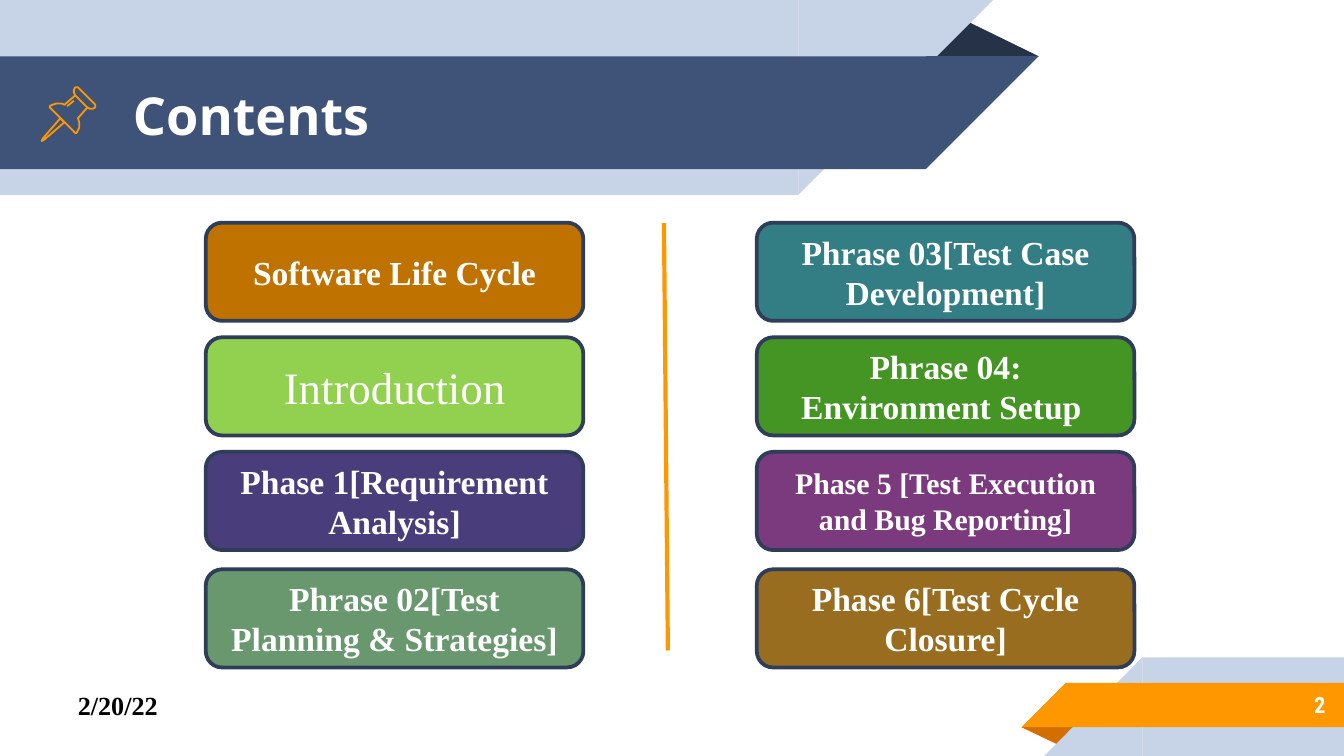
from dataclasses import dataclass

from lxml import etree
from pptx import Presentation
from pptx.dml.color import RGBColor
from pptx.enum import shapes, text
from pptx.oxml import ns
from pptx.util import Pt

WHITE = RGBColor(0xFF, 0xFF, 0xFF)
BLACK = RGBColor(0x00, 0x00, 0x00)
PALE = RGBColor(0xC7, 0xD3, 0xE6)
NAVY = RGBColor(0x3F, 0x53, 0x78)
DARK = RGBColor(0x26, 0x32, 0x48)
OUTLINE = RGBColor(0x2F, 0x3D, 0x59)
ORANGE = RGBColor(0xFF, 0x98, 0x00)
BURNT = RGBColor(0xD2, 0x6F, 0x00)

RECT = shapes.MSO_SHAPE.RECTANGLE
SLOPE = shapes.MSO_SHAPE.RIGHT_TRIANGLE
FOLD = shapes.MSO_SHAPE.ISOSCELES_TRIANGLE
FOLD_APEX = 0.324
SERIF = "Times New Roman"


@dataclass(frozen=True)
class Piece:
    kind: shapes.MSO_SHAPE
    left: float
    top: float
    width: float
    height: float
    color: RGBColor
    flip: str = ""
    rotation: float = 0


@dataclass(frozen=True)
class Topic:
    label: str
    color: RGBColor
    size: float = 18
    bold: bool = True


@dataclass(frozen=True)
class Stroke:
    """Pin outline, its points in hundredths of an inch."""
    points: tuple[tuple[int, int], ...]
    closed: bool


RIBBONS = (
    Piece(FOLD, 547.2, 389.6, 31, 10, BURNT, rotation=180),
    Piece(RECT, 612, 352.2, 108, 52.8, PALE),
    Piece(SLOPE, 559.4, 352.2, 52.6, 52.8, PALE, "flipH"),
    Piece(RECT, 571, 365.8, 149, 23.8, ORANGE),
    Piece(SLOPE, 547.2, 365.8, 23.8, 23.8, ORANGE, "flipH"),
    Piece(FOLD, 495.4, 10, 61.2, 20.2, DARK),
    Piece(RECT, 0, 0, 427.7, 104.4, PALE),
    Piece(SLOPE, 427.7, 0, 104.4, 104.4, PALE, "flipV"),
    Piece(RECT, 0, 30.2, 496, 60.5, NAVY),
    Piece(SLOPE, 496, 30.2, 60.5, 60.5, NAVY, "flipV"),
)

PIN = (
    Stroke(((45, 88), (32, 103), (31, 105), (33, 104), (48, 91)), True),
    Stroke(((56, 71), (65, 80), (67, 81), (69, 81), (71, 80), (71, 78),
            (58, 65), (56, 65), (55, 67), (55, 69)), True),
    Stroke(((56, 71), (48, 78), (46, 77), (42, 77), (39, 78), (37, 79),
            (37, 80), (38, 81), (55, 98), (56, 99), (57, 99), (58, 97),
            (59, 95), (59, 91), (58, 88), (65, 80)), False),
    Stroke(((50, 79), (55, 75)), False),
)

COLUMNS = {
    110.2: (
        Topic("Software Life Cycle", RGBColor(0xBF, 0x72, 0x00)),
        Topic("Introduction", RGBColor(0x92, 0xD0, 0x50), 24, False),
        Topic("Phase 1[Requirement Analysis]", RGBColor(0x49, 0x3D, 0x7B)),
        Topic("Phrase 02[Test Planning & Strategies]", RGBColor(0x69, 0x97, 0x6E)),
    ),
    405.4: (
        Topic("Phrase 03[Test Case Development]", RGBColor(0x33, 0x7D, 0x85)),
        Topic("Phrase 04: Environment Setup ", RGBColor(0x44, 0x95, 0x23)),
        Topic("Phase 5 [Test Execution and Bug Reporting]",
              RGBColor(0x7C, 0x3A, 0x7E), 16),
        Topic("Phase 6[Test Cycle Closure]", RGBColor(0x99, 0x6D, 0x1F)),
    ),
}
ROW_TOPS = (119.3, 180.7, 242.1, 305)


def write(box, words: str, align: text.PP_ALIGN, color: RGBColor,
          inset: float = 3.6, anchor=text.MSO_ANCHOR.MIDDLE, **font) -> None:
    """Fill a box with one formatted line of words."""
    frame = box.text_frame
    layout = {"word_wrap": True, "auto_size": text.MSO_AUTO_SIZE.NONE,
              "vertical_anchor": anchor,
              "margin_left": Pt(7.2), "margin_right": Pt(7.2),
              "margin_top": Pt(inset), "margin_bottom": Pt(inset)}
    for name, value in layout.items():
        setattr(frame, name, value)
    para = frame.paragraphs[0]
    para.alignment = align
    span = para.add_run()
    span.text = words
    for name, value in font.items():
        setattr(span.font, name, value)
    span.font.color.rgb = color


def draw_piece(page, piece: Piece) -> None:
    shape = page.shapes.add_shape(piece.kind, Pt(piece.left), Pt(piece.top),
                                  Pt(piece.width), Pt(piece.height))
    shape.shadow.inherit = False
    shape.fill.solid()
    shape.fill.fore_color.rgb = piece.color
    shape.line.fill.background()
    shape.rotation = piece.rotation
    if piece.kind == FOLD:
        shape.adjustments[0] = FOLD_APEX
    if piece.flip:
        shape.element.spPr.find(ns.qn("a:xfrm")).set(piece.flip, "1")


def draw_stroke(page, stroke: Stroke) -> None:
    start, *others = stroke.points
    builder = page.shapes.build_freeform(*start, scale=Pt(0.72))
    builder.add_line_segments(others, close=stroke.closed)
    shape = builder.convert_to_shape()
    shape.shadow.inherit = False
    shape.fill.background()
    shape.line.color.rgb = ORANGE
    shape.line.width = Pt(0.96)


def draw_topic(page, topic: Topic, left: float, top: float) -> None:
    box = page.shapes.add_shape(shapes.MSO_SHAPE.ROUNDED_RECTANGLE,
                                Pt(left), Pt(top), Pt(202.3), Pt(52.6))
    box.shadow.inherit = False
    box.fill.solid()
    box.fill.fore_color.rgb = topic.color
    box.line.color.rgb = OUTLINE
    box.line.width = Pt(2)
    write(box, topic.label, text.PP_ALIGN.CENTER, WHITE,
          name=SERIF, size=Pt(topic.size), bold=topic.bold)


def draw_divider(page) -> None:
    line = page.shapes.add_connector(shapes.MSO_CONNECTOR.STRAIGHT,
                                     Pt(355.7), Pt(119.5), Pt(357.8), Pt(348.5))
    line.line.color.rgb = ORANGE
    line.line.width = Pt(2.25)
    etree.SubElement(line.element.spPr, ns.qn("a:effectLst"))


def place_title(page) -> None:
    title = page.shapes.title
    place = {"left": 64, "top": 31, "width": 432.7, "height": 60.5}
    for name, value in place.items():
        setattr(title, name, Pt(value))
    title.element.getparent().append(title.element)  # bring above the ribbons
    write(title, "Contents", text.PP_ALIGN.LEFT, WHITE, inset=7.2,
          name="Open Sans", size=Pt(28), bold=True)


def main() -> None:
    deck = Presentation()
    deck.slide_width, deck.slide_height = Pt(720), Pt(405)
    page = deck.slides.add_slide(deck.slide_layouts.get_by_name("Title Only"))

    for piece in RIBBONS:
        draw_piece(page, piece)
    place_title(page)
    number = page.shapes.add_textbox(Pt(599.8), Pt(365), Pt(117.4), Pt(25.2))
    write(number, "2", text.PP_ALIGN.RIGHT, WHITE, inset=7.2,
          name="Roboto Condensed", size=Pt(12), bold=True)
    for stroke in PIN:
        draw_stroke(page, stroke)
    for left, topics in COLUMNS.items():
        for top, topic in zip(ROW_TOPS, topics):
            draw_topic(page, topic, left, top)
    draw_divider(page)
    date = page.shapes.add_textbox(Pt(34.6), Pt(365.8), Pt(68.4), Pt(24.5))
    write(date, "2/20/22", text.PP_ALIGN.LEFT, BLACK,
          anchor=text.MSO_ANCHOR.TOP, name=SERIF, size=Pt(14), bold=True)
    deck.save("out.pptx")


if __name__ == "__main__":
    main()
